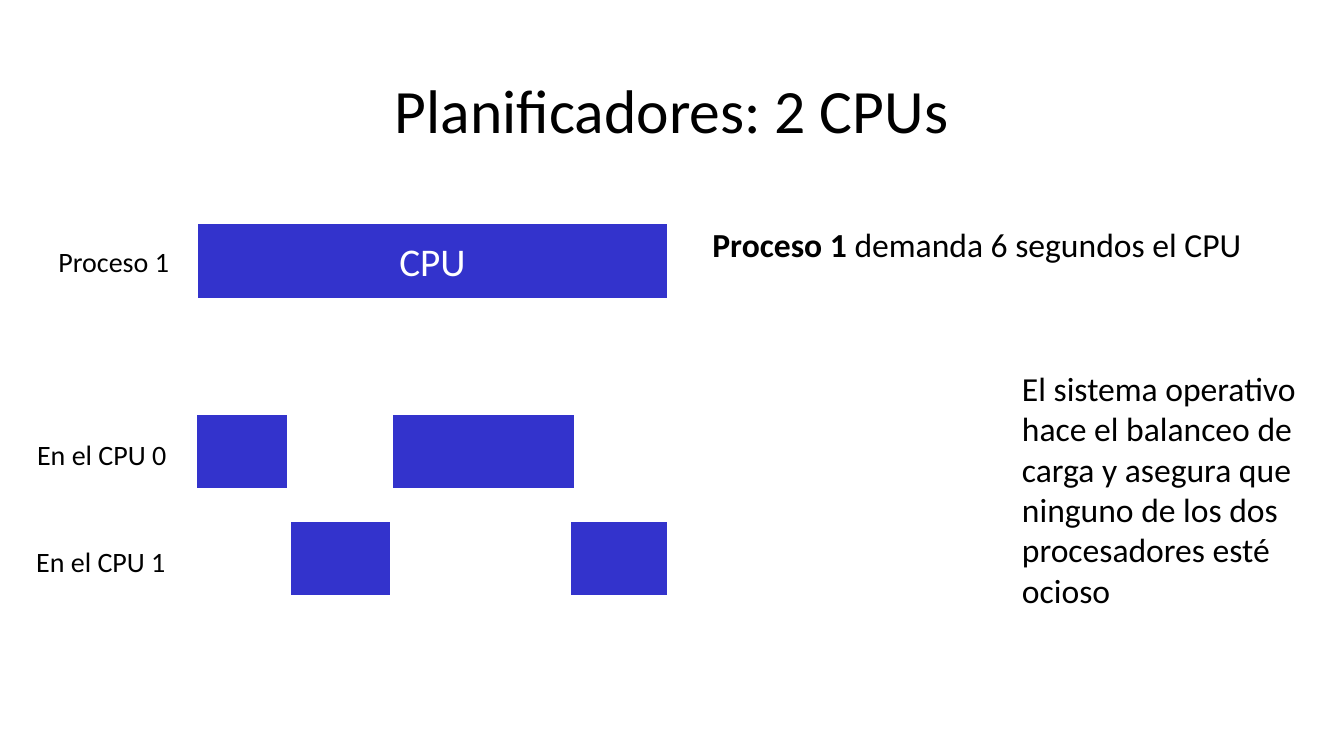
from pptx import Presentation
from pptx.dml.color import RGBColor
from pptx.enum.shapes import MSO_SHAPE as Shape
from pptx.enum.text import MSO_ANCHOR as Anchor, MSO_AUTO_SIZE as AutoSize, PP_ALIGN as Align
from pptx.util import Pt

COLORS = {"bar": "3333CC", "white": "FFFFFF", "black": "000000"}
FONT = "Calibri"


def color(name):
    return RGBColor.from_string(COLORS[name])


def write(paragraph, text, size=24, ink="black", bold=False, align=Align.LEFT):
    paragraph.alignment = align
    run = paragraph.add_run()
    run.text = text
    run.font.name = FONT
    run.font.size = Pt(size)
    run.font.bold = bold
    run.font.color.rgb = color(ink)


class SchedulerSlide:
    bar_height = 54.7
    outline = 2.25

    def __init__(self, presentation):
        self.slide = presentation.slides.add_slide(presentation.slide_layouts[6])

    def text_box(self, left, top, width, height, wrap=True, grow=True):
        shape = self.slide.shapes.add_textbox(Pt(left), Pt(top), Pt(width), Pt(height))
        frame = shape.text_frame
        frame.word_wrap = wrap
        frame.auto_size = AutoSize.SHAPE_TO_FIT_TEXT if grow else AutoSize.NONE
        return frame

    def title(self, text):
        frame = self.text_box(66, 28.75, 828, 104.4, grow=False)
        frame.vertical_anchor = Anchor.MIDDLE
        paragraph = frame.paragraphs[0]
        paragraph.line_spacing = 0.9
        write(paragraph, text, size=44, align=Align.CENTER)

    def label(self, text, left, top, width, wrap=True):
        frame = self.text_box(left, top, width, 31.5, wrap)
        write(frame.paragraphs[0], text, size=20)

    def note(self, runs, left, top, width, height, wrap=True):
        paragraph = self.text_box(left, top, width, height, wrap).paragraphs[0]
        for text, bold in runs:
            write(paragraph, text, bold=bold)

    def bar(self, left, top, width, text=""):
        shape = self.slide.shapes.add_shape(
            Shape.RECTANGLE, Pt(left), Pt(top), Pt(width), Pt(self.bar_height))
        shape.shadow.inherit = False
        shape.fill.solid()
        shape.fill.fore_color.rgb = color("bar")
        shape.line.color.rgb = color("white")
        shape.line.width = Pt(self.outline)
        if text:
            shape.text_frame.vertical_anchor = Anchor.MIDDLE
            write(shape.text_frame.paragraphs[0], text, size=28, ink="white", align=Align.CENTER)


def main():
    presentation = Presentation()
    presentation.slide_width = Pt(960)
    presentation.slide_height = Pt(540)
    page = SchedulerSlide(presentation)

    page.title("Planificadores: 2 CPUs")
    page.bar(140.4, 159.1, 337, "CPU")
    page.label("Proceso 1", 34.6, 171.4, 94.3, wrap=False)

    cpu_rows = [
        ("En el CPU 0", 19.4, 295.2, [(139.9, 66.2), (279.4, 131.8)]),
        ("En el CPU 1", 18.7, 371.5, [(206.6, 73.4), (406.8, 71.1)]),
    ]
    for text, label_left, top, turns in cpu_rows:
        page.label(text, label_left, top + 13.7, 123.1)
        for left, width in turns:
            page.bar(left, top, width)

    page.note([("El sistema operativo hace el balanceo de carga y asegura que "
                "ninguno de los dos procesadores esté ocioso", False)],
              722.9, 259.2, 236.9, 181.4)
    page.note([("Proceso 1", True), (" demanda 6 segundos el CPU", False)],
              501.8, 156.2, 396, 36, wrap=False)
    presentation.save("out.pptx")


if __name__ == "__main__":
    main()
